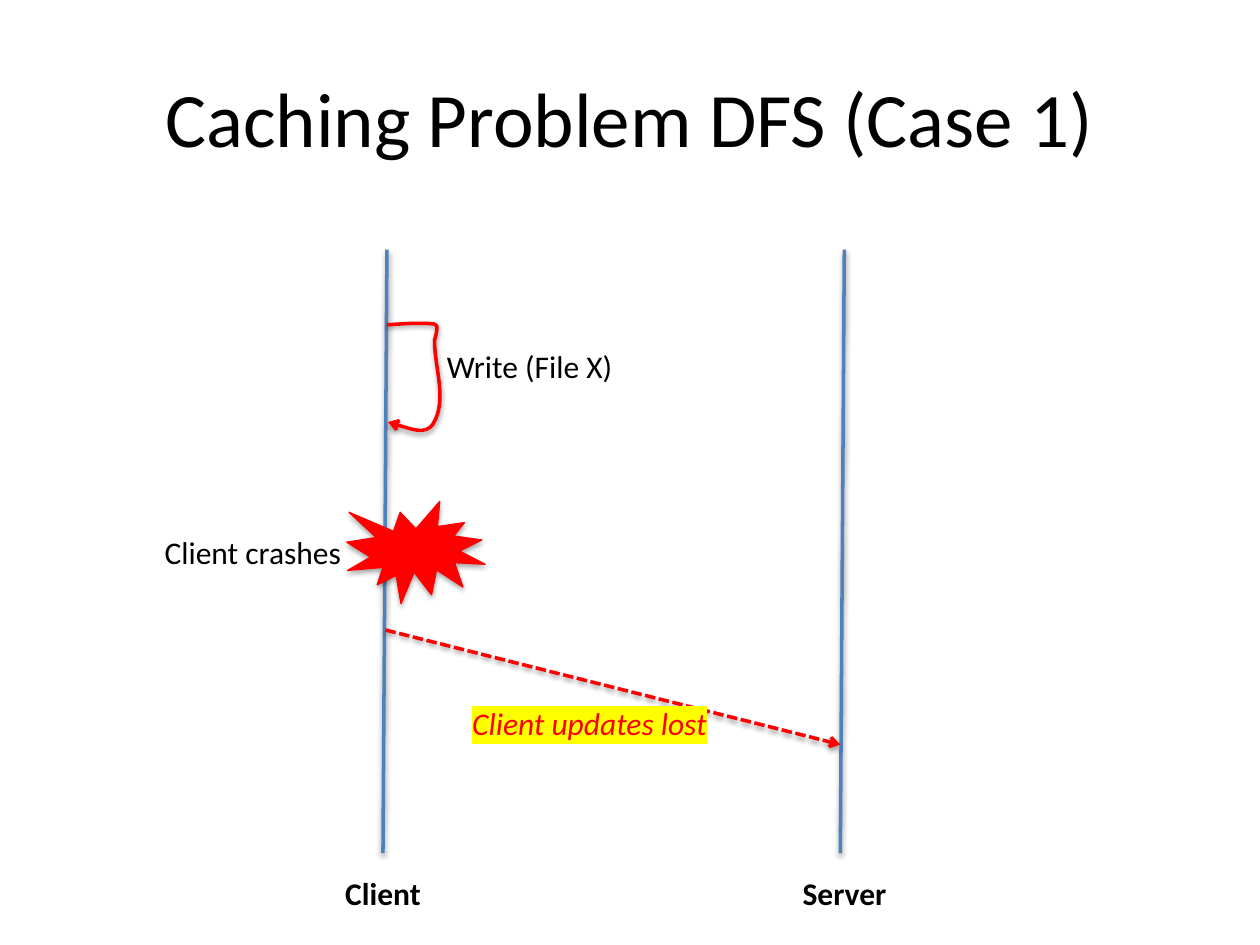
from lxml import etree
from pptx import Presentation
from pptx import util as u
from pptx.dml.color import RGBColor
from pptx.enum import dml, shapes, text
from pptx.oxml import parse_xml
from pptx.oxml.ns import nsdecls, qn

FONT = "Calibri"
COLORS = {
    "text": "000000",
    "lifeline": "4F81BD",
    "alert": "FF0000",
    "highlight": "FFFF00",
}

LIFELINE_TOP, LIFELINE_BOTTOM = 5.03, 17.2
LABEL_HEIGHT = 1.02
WRITE_LOOP = [
    (7.8, 6.55),
    (8.1, 6.53), (8.43, 6.5), (8.74, 6.53),
    (8.76, 6.53), (8.79, 6.55), (8.81, 6.58),
    (8.81, 6.68), (8.79, 6.76), (8.76, 6.86),
    (8.76, 7.42), (9.02, 8.05), (8.74, 8.53),
    (8.59, 8.79), (7.82, 8.51), (7.82, 8.51),
]


def rgb(name):
    return RGBColor.from_string(COLORS[name])


def add_shadow(sp, distance=1.6, opacity=38):
    sp._element.spPr.append(parse_xml(
        f'<a:effectLst {nsdecls("a")}>'
        f'<a:outerShdw blurRad="{u.Pt(3.1)}" dist="{u.Pt(distance)}" '
        'dir="5400000" rotWithShape="0">'
        f'<a:srgbClr val="000000"><a:alpha val="{opacity * 1000}"/></a:srgbClr>'
        '</a:outerShdw></a:effectLst>'))


def style_line(sp, color, width=2, dash=None, arrow=False):
    sp.line.color.rgb = rgb(color)
    sp.line.width = u.Pt(width)
    if dash:
        sp.line.dash_style = dash
    if arrow:
        ln = sp.line._get_or_add_ln()
        etree.SubElement(ln, qn("a:tailEnd"), type="arrow")


def style_run(r, size, color="text", bold=False, italic=False):
    r.font.name = FONT
    r.font.size = u.Pt(size)
    r.font.color.rgb = rgb(color)
    r.font.bold = bold
    r.font.italic = italic


def add_title(s, title):
    sp = s.shapes.title
    sp.left, sp.top, sp.width, sp.height = map(u.Cm, (1.27, 0.76, 22.86, 3.18))
    tf = sp.text_frame
    tf.text = title
    tf.vertical_anchor = text.MSO_ANCHOR.MIDDLE
    p = tf.paragraphs[0]
    p.alignment = text.PP_ALIGN.CENTER
    style_run(p.runs[0], 44)


def add_label(s, label, left, top, width, **style):
    sp = s.shapes.add_textbox(*map(u.Cm, (left, top, width, LABEL_HEIGHT)))
    tf = sp.text_frame
    tf.text = label
    tf.word_wrap = False
    tf.auto_size = text.MSO_AUTO_SIZE.SHAPE_TO_FIT_TEXT
    r = tf.paragraphs[0].runs[0]
    style_run(r, 18, **style)
    return r


def highlight(r, color):
    mark = parse_xml(f'<a:highlight {nsdecls("a")}>'
                     f'<a:srgbClr val="{COLORS[color]}"/></a:highlight>')
    r.font._element.find(qn("a:solidFill")).addnext(mark)


def add_line(s, start, end, color, **style):
    sp = s.shapes.add_connector(shapes.MSO_CONNECTOR.STRAIGHT,
                                *map(u.Cm, start + end))
    style_line(sp, color, **style)
    add_shadow(sp)


def add_curve_arrow(s, points, color):
    """Draw cubic curves: a start, then two controls and an end for each."""
    start, *rest = [(u.Cm(x), u.Cm(y)) for x, y in points]
    builder = s.shapes.build_freeform(*start)
    builder.add_line_segments(rest, close=False)
    sp = builder.convert_to_shape()
    segments = list(sp._element.iter(qn("a:lnTo")))
    for i in range(0, len(segments), 3):
        curve = etree.Element(qn("a:cubicBezTo"))
        segments[i].addprevious(curve)
        for segment in segments[i:i + 3]:
            curve.append(segment[0])
            segment.getparent().remove(segment)
    sp.fill.background()
    style_line(sp, color, arrow=True)
    add_shadow(sp)


def add_crash(s, left, top, width, height):
    sp = s.shapes.add_shape(shapes.MSO_SHAPE.EXPLOSION1,
                            *map(u.Cm, (left, top, width, height)))
    sp.fill.solid()
    sp.fill.fore_color.rgb = rgb("alert")
    style_line(sp, "alert", width=0.75)
    add_shadow(sp, distance=1.8, opacity=35)


def main():
    prs = Presentation()
    prs.slide_width, prs.slide_height = u.Cm(25.4), u.Cm(19.05)
    s = prs.slides.add_slide(prs.slide_layouts.get_by_name("Title Only"))
    add_title(s, "Caching Problem DFS (Case 1)")

    for x in (7.8, 17.02):
        add_line(s, (x, LIFELINE_TOP), (x - 0.08, LIFELINE_BOTTOM), "lifeline")
    for name, left, width in (("Client", 6.71, 2.06), ("Server", 15.93, 2.24)):
        add_label(s, name, left, 17.5, width, bold=True)

    add_curve_arrow(s, WRITE_LOOP, "alert")
    add_label(s, "Write (File X)", 8.76, 6.88, 3.91)

    add_crash(s, 6.99, 10.11, 2.79, 2.06)
    add_label(s, "Client crashes", 3.07, 10.62, 4.11)

    add_line(s, (7.77, 12.7), (16.94, 15.01), "alert",
             dash=dml.MSO_LINE.SQUARE_DOT, arrow=True)
    r = add_label(s, "Client updates lost", 9.27, 14.07, 5.46,
                  color="alert", italic=True)
    highlight(r, "highlight")

    prs.save("out.pptx")


if __name__ == "__main__":
    main()
